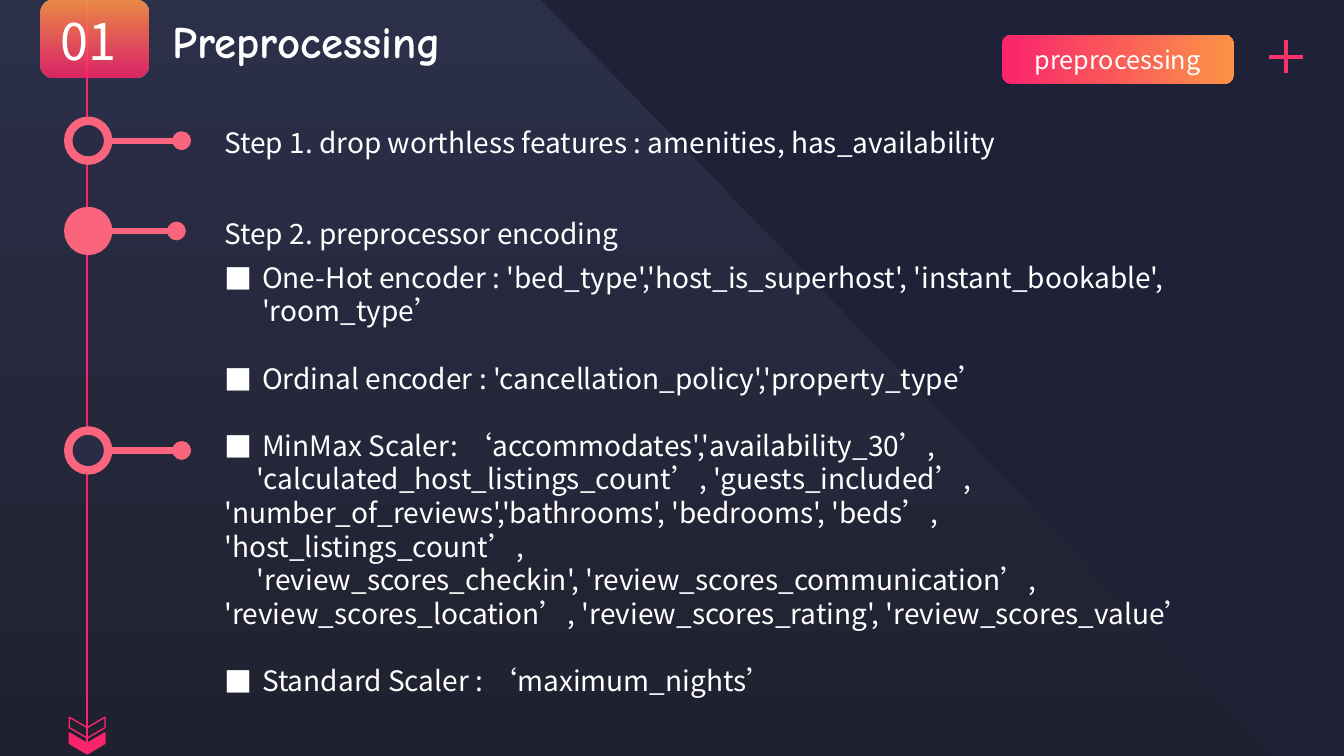
from dataclasses import dataclass

from lxml.etree import SubElement
from pptx import Presentation
from pptx.dml.color import RGBColor
from pptx.enum.shapes import MSO_CONNECTOR as CONN, MSO_SHAPE as SHAPE
from pptx.enum.text import MSO_ANCHOR as ANCHOR, MSO_AUTO_SIZE as FIT, PP_ALIGN as ALIGN
from pptx.oxml.ns import qn
from pptx.util import Pt

PX = 9525  # 96 px to the inch
WIDTH, HEIGHT = 1280, 720


@dataclass(frozen=True)
class Theme:
    backdrop: str = "1F2136"
    glow_top: str = "2B2F48"
    glow_bottom: str = "202130"
    pink: str = "FA246C"
    plus: str = "FA326C"
    orange: str = "FB9347"
    marker: str = "FA647D"
    hollow: str = "292C44"
    text: str = "FFFFFF"
    body_font: str = "Noto Sans CJK SC"
    title_font: str = "Comic Neue"
    number_size: int = 36
    title_size: int = 32
    body_size: int = 20
    tag_size: int = 18
    line_height: int = 24


T = Theme()
STEPS = [
    (134, 99, True, "Step 1. drop worthless features : amenities, has_availability"),
    (220, 94, False, "Step 2. preprocessor encoding"),
    (429, 99, True, None),
]
# Text, bulleted, blank line's worth of space before
DETAILS = [
    ("One-Hot encoder : 'bed_type','host_is_superhost', 'instant_bookable', 'room_type’",
     True, False),
    ("Ordinal encoder : 'cancellation_policy','property_type’", True, True),
    ("MinMax Scaler: ‘accommodates','availability_30’,", True, True),
    ("'calculated_host_listings_count’, 'guests_included’,\v"
     "'number_of_reviews','bathrooms', 'bedrooms', 'beds’,\v"
     "'host_listings_count’,", False, False),
    ("'review_scores_checkin', 'review_scores_communication’,\v"
     "'review_scores_location’, 'review_scores_rating', 'review_scores_value’",
     False, False),
    ("Standard Scaler : ‘maximum_nights’", True, True),
]


def px(*lengths):
    return [n * PX for n in lengths]


def rgb(color):
    return RGBColor.from_string(color)


def place(sp, box):
    sp.left, sp.top, sp.width, sp.height = px(*box)


def gradient(sp, colors, angle, alphas=()):
    sp.fill.gradient()
    sp.fill.gradient_angle = angle
    for stop, color in zip(sp.fill.gradient_stops, colors):
        stop.color.rgb = rgb(color)
    for clr, alpha in zip(sp._element.spPr.iter(qn("a:srgbClr")), alphas):
        SubElement(clr, qn("a:alpha"), val=str(alpha * 1000))


def add_shape(s, kind, box, fill=None, line=None, weight=1):
    sp = s.shapes.add_shape(kind, *px(*box))
    sp.shadow.inherit = False
    if fill:
        sp.fill.solid()
        sp.fill.fore_color.rgb = rgb(fill)
    else:
        sp.fill.background()
    if line:
        sp.line.color.rgb = rgb(line)
        sp.line.width = Pt(weight)
    else:
        sp.line.fill.background()
    return sp


def add_line(s, ends, color, weight, dots=False):
    cn = s.shapes.add_connector(CONN.STRAIGHT, *px(*ends))
    cn.line.color.rgb = rgb(color)
    cn.line.width = Pt(weight)
    if dots:
        ln = cn.line._get_or_add_ln()
        for end in ("a:headEnd", "a:tailEnd"):
            SubElement(ln, qn(end), type="oval")
    SubElement(cn._element.spPr, qn("a:effectLst"))


def style(tf, size, font=T.body_font, align=ALIGN.LEFT, anchor=ANCHOR.TOP, bold=False):
    tf.word_wrap = True
    tf.auto_size = FIT.NONE
    tf.vertical_anchor = anchor
    for p in tf.paragraphs:
        p.alignment = align
        for r in p.runs:
            r.font.size, r.font.bold, r.font.name = Pt(size), bold, font
            r.font.color.rgb = rgb(T.text)
            SubElement(r.font._element, qn("a:ea"), typeface=font)


def add_text(s, box, text, size, **options):
    tb = s.shapes.add_textbox(*px(*box))
    tb.text_frame.text = text
    style(tb.text_frame, size, **options)


def draw_backdrop(s, x, y, w, h):
    s.background.fill.solid()
    s.background.fill.fore_color.rgb = rgb(T.backdrop)
    fb = s.shapes.build_freeform(*px(x, y))
    fb.add_line_segments([px(x + 515, y), px(x + w, y + h), px(x, y + h)])
    glow = fb.convert_to_shape()
    glow.shadow.inherit = False
    glow.line.fill.background()
    gradient(glow, (T.glow_top, T.glow_bottom), 270)
    s.shapes._spTree.insert(2, glow._element)  # behind the placeholders


def draw_header(s, x, y):
    # Numbered badge
    badge = add_shape(s, SHAPE.FLOWCHART_ALTERNATE_PROCESS, (x + 5, y, 102, 74))
    gradient(badge, (T.pink, T.orange), 90, (85, 92))
    number = add_shape(s, SHAPE.FLOWCHART_ALTERNATE_PROCESS, (x, y + 1, 111, 75))
    tf = number.text_frame
    tf.text = "01"
    tf.margin_left = 20 * PX
    style(tf, T.number_size, anchor=ANCHOR.MIDDLE)
    # Title
    title = s.shapes.title
    place(title, (x + 121, y + 8, 714, 61))
    title.text_frame.text = "Preprocessing"
    style(title.text_frame, T.title_size, T.title_font, bold=True)


def draw_tag(s, x, y, w, h):
    tag = add_shape(s, SHAPE.ROUNDED_RECTANGLE, (x, y, w, h))
    tag.adjustments[0] = 0.19
    gradient(tag, (T.pink, T.orange), 0)
    add_text(s, (x + 14, y + 4, w - 28, h - 9), "preprocessing", T.tag_size,
             align=ALIGN.CENTER)
    # Plus sign
    cx, cy, arm = x + w + 50, y + 21, 16
    add_line(s, (cx - arm, cy, cx + arm, cy), T.plus, 2.75)
    add_line(s, (cx, cy + arm, cx, cy - arm), T.plus, 2.75)


def draw_step(s, x, y, reach, hollow, text):
    add_line(s, (x, y, x + reach - 10, y), T.marker, 4.5, dots=True)
    add_shape(s, SHAPE.OVAL, (x - 19, y - 19, 38, 38),
              T.hollow if hollow else T.marker, T.marker, 6)
    if text:
        add_text(s, (x + 120, y - 19, 840, 42), text, T.body_size)


def draw_chevrons(s, cx, y):
    for i, fill in enumerate((None, T.pink)):
        sp = add_shape(s, SHAPE.CHEVRON, (cx - 10, y + 15 * i, 20, 34), fill, T.pink)
        sp.rotation = 90


def draw_details(s, x, y, w, h):
    body = s.placeholders[1]
    place(body, (x, y, w, h))
    tf = body.text_frame
    tf.text = "\n".join(text for text, _, _ in DETAILS)
    for p, (_, bulleted, gap) in zip(tf.paragraphs, DETAILS):
        p.line_spacing = Pt(T.line_height)
        p.space_before = Pt(T.line_height if gap else 0)
        pPr = p._p.get_or_add_pPr()
        indent = 36 if bulleted else 0
        pPr.set("marL", str(indent * PX))
        pPr.set("indent", str((-indent if bulleted else 31) * PX))
        if bulleted:
            clr = SubElement(pPr, qn("a:buClr"))
            SubElement(clr, qn("a:srgbClr"), val=T.text)
            SubElement(pPr, qn("a:buFont"), typeface=T.body_font)
            SubElement(pPr, qn("a:buChar"), char="■")
        else:
            SubElement(pPr, qn("a:buNone"))
    style(tf, T.body_size)


def main():
    prs = Presentation()
    prs.slide_width, prs.slide_height = px(WIDTH, HEIGHT)
    s = prs.slides.add_slide(prs.slide_layouts[1])
    draw_backdrop(s, 0, 0, 1212, HEIGHT)
    add_line(s, (83, 2, 83, 718), T.pink, 1)
    draw_tag(s, 954, 33, 221, 47)
    draw_header(s, 34, 0)
    for y, reach, hollow, text in STEPS:
        draw_step(s, 84, y, reach, hollow, text)
    draw_chevrons(s, 83, 676)
    draw_details(s, 204, 243, 1037, 430)
    prs.save("out.pptx")


if __name__ == "__main__":
    main()
